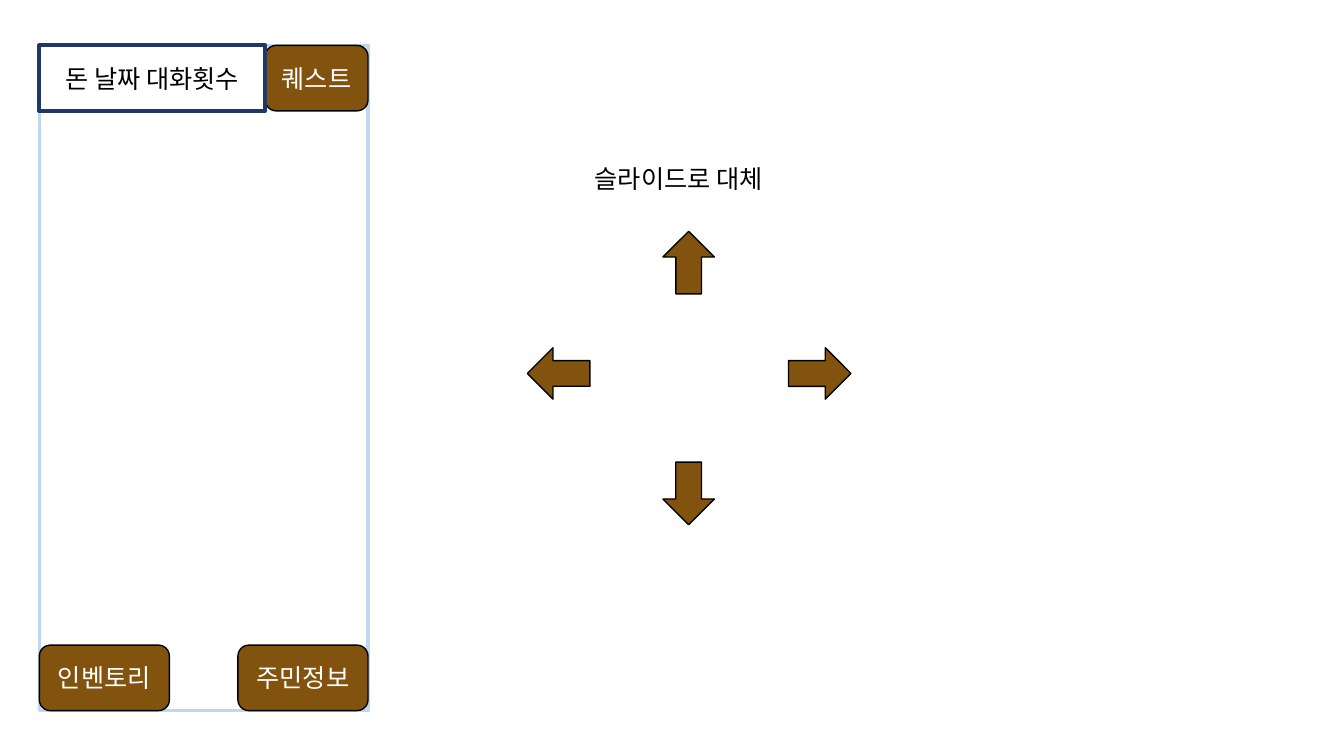
from pptx import Presentation
from pptx.dml.color import RGBColor
from pptx.enum.shapes import MSO_SHAPE as SHAPE
from pptx.enum.text import MSO_ANCHOR as ANCHOR, MSO_AUTO_SIZE as AUTO, PP_ALIGN as ALIGN
from pptx.oxml.ns import qn
from pptx.util import Inches, Pt
from lxml import etree

BROWN, WHITE, BLACK = "82530E", "FFFFFF", "000000"
NAVY, PALE_BLUE = "203864", "BDD7EE"


def rgb(hex_color):
    """Turn a hex string into a colour."""
    return RGBColor.from_string(hex_color)


def set_attrs(obj, values):
    """Set each attribute named in a dict."""
    for name, value in values.items():
        setattr(obj, name, value)


class Sketch:
    """Holds the text style and the current slide."""

    font = {"name": "Noto Sans CJK KR", "size": Pt(18)}

    def __init__(self, slide):
        """Keep the slide's shapes at hand."""
        self.shapes = slide.shapes

    def add_text(self, sp, text, color, align, frame):
        """Put one line of styled text into a shape."""
        tf = sp.text_frame
        set_attrs(tf, frame)
        p = tf.paragraphs[0]
        p.alignment = align
        r = p.add_run()
        r.text = text
        set_attrs(r.font, self.font)
        r.font.color.rgb = rgb(color)
        ea = etree.SubElement(r.font._element, qn("a:ea"))
        ea.set("typeface", self.font["name"])

    def shape(self, kind, box, fill, line=BLACK, width=1, text="", color=WHITE, turn=0):
        """Add a preset shape, with centred text if given."""
        sp = self.shapes.add_shape(kind, *map(Inches, box))
        sp.shadow.inherit = False
        sp.rotation = turn
        sp.fill.solid()
        sp.fill.fore_color.rgb = rgb(fill)
        sp.line.color.rgb = rgb(line)
        sp.line.width = Pt(width)
        if text:
            frame = {"word_wrap": True, "vertical_anchor": ANCHOR.MIDDLE}
            self.add_text(sp, text, color, ALIGN.CENTER, frame)

    def button(self, text, left, top, width):
        """Add a brown rounded button."""
        self.shape(SHAPE.ROUNDED_RECTANGLE, (left, top, width, BAR_H), BROWN, text=text)

    def arrow(self, left, top, turn):
        """Add a brown left arrow, turned clockwise."""
        self.shape(SHAPE.LEFT_ARROW, (left, top, 0.62, 0.51), BROWN, turn=turn)

    def label(self, text, box):
        """Add an unwrapped line of black text."""
        sp = self.shapes.add_textbox(*map(Inches, box))
        frame = {"word_wrap": False, "auto_size": AUTO.SHAPE_TO_FIT_TEXT}
        self.add_text(sp, text, BLACK, ALIGN.LEFT, frame)


prs = Presentation()
set_attrs(prs, {"slide_width": Inches(13.33), "slide_height": Inches(7.5)})
s = Sketch(prs.slides.add_slide(prs.slide_layouts[6]))

# Phone screen with its status bar and buttons
LEFT, TOP, SCREEN_W, SCREEN_H, BAR_H = 0.39, 0.45, 3.26, 6.6, 0.65
STATUS_W, MENU_W = 2.24, 1.29
right, menu_top = LEFT + SCREEN_W, TOP + SCREEN_H - BAR_H
s.shape(SHAPE.RECTANGLE, (LEFT, TOP, SCREEN_W, SCREEN_H), WHITE, PALE_BLUE, 2.25)
s.button("인벤토리", LEFT, menu_top, MENU_W)
s.button("주민정보", right - MENU_W, menu_top, MENU_W)
s.button("퀘스트", LEFT + STATUS_W, TOP, SCREEN_W - STATUS_W)
s.shape(SHAPE.RECTANGLE, (LEFT, TOP, STATUS_W, BAR_H), WHITE, NAVY, 3,
        "돈 날짜 대화횟수", BLACK)

# Direction arrows: left, right, up, down
for left, top, turn in [(5.23, 3.45, 0), (7.82, 3.45, 180), (6.52, 2.35, 90), (6.52, 4.64, 270)]:
    s.arrow(left, top, turn)
s.label("슬라이드로 대체", (5.8, 1.57, 2.06, 0.4))

prs.save("out.pptx")
